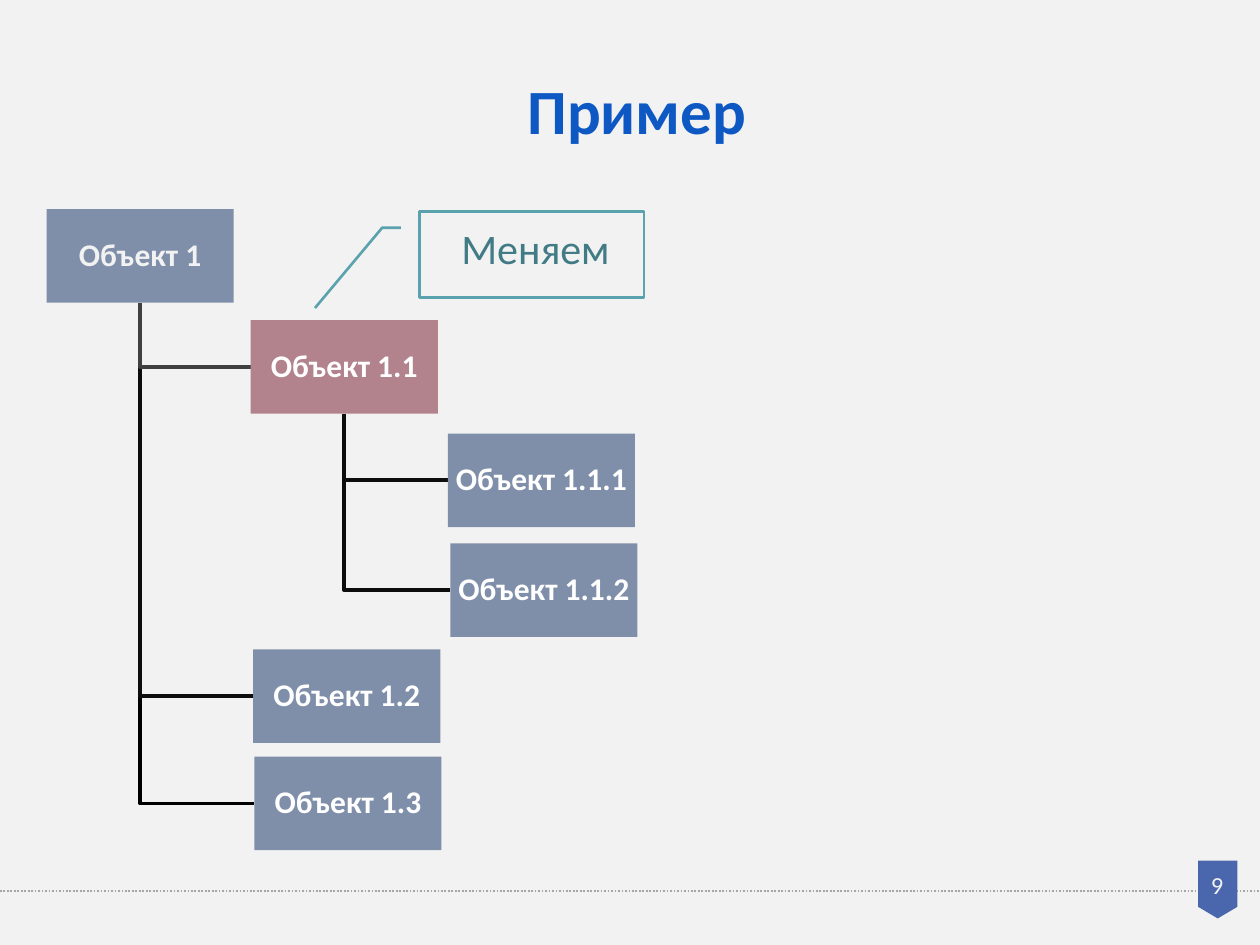
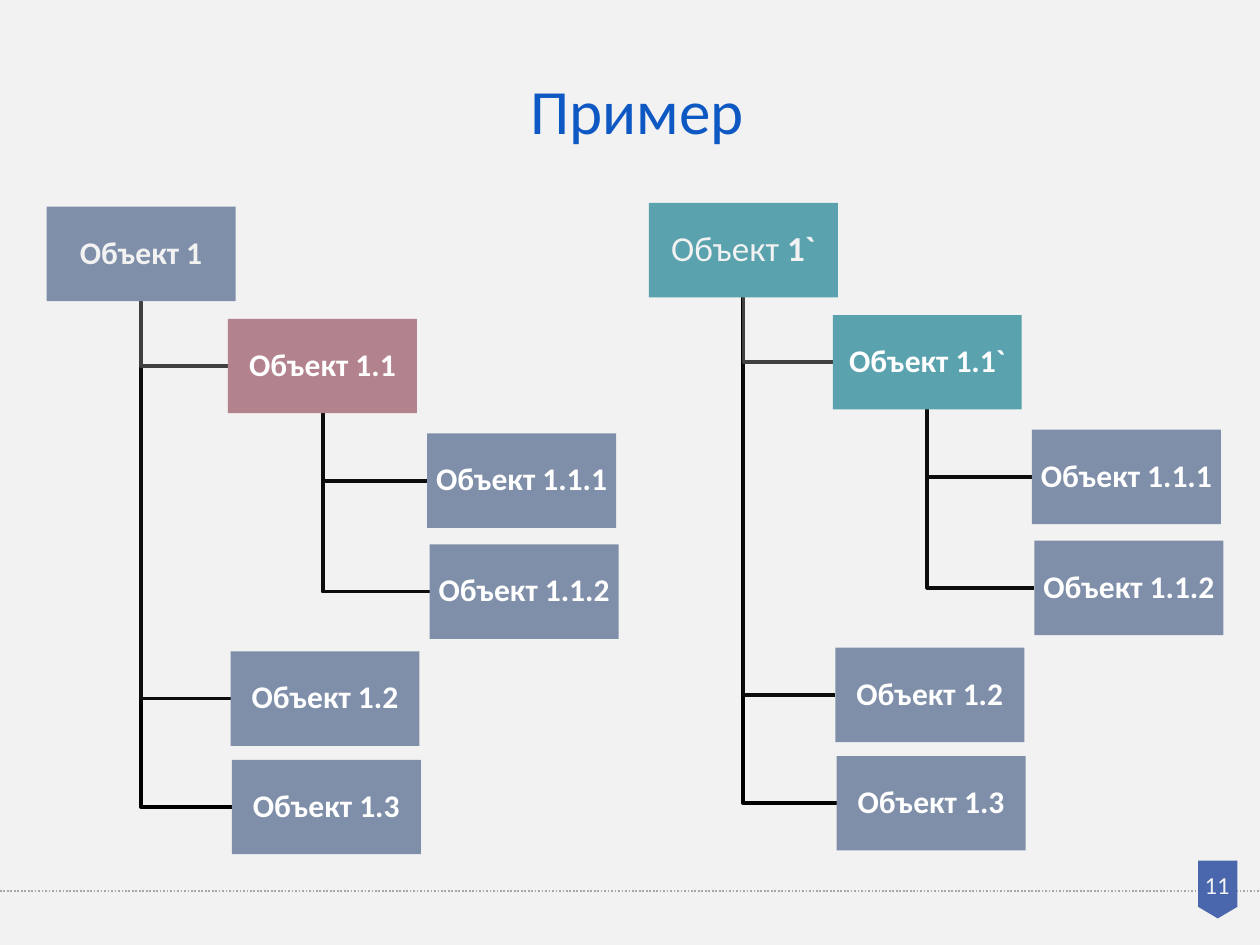
from dataclasses import dataclass, field

from lxml.etree import SubElement
from pptx import Presentation
from pptx.dml.color import RGBColor
from pptx.enum.dml import MSO_LINE
from pptx.enum.shapes import MSO_CONNECTOR, MSO_SHAPE
from pptx.enum.text import MSO_ANCHOR, PP_ALIGN
from pptx.oxml.ns import qn
from pptx.util import Inches, Pt

FONT = "Calibri"
PAPER = "F2F2F2"
WHITE = "FFFFFF"
TITLE_BLUE = "0E58C4"
BADGE_BLUE = "4A66AC"
DOTTED_GREY = "A6A6A6"
SLATE = "7F8FA9"
ROSE = "B2828D"
TEAL = "5AA2AE"
DARK_TEAL = "417B85"
NODE_WIDTH, NODE_HEIGHT = 1.5, 0.75


@dataclass(frozen=True)
class Node:
    label: str
    right: float
    down: float
    fill: str = SLATE
    color: str = WHITE


@dataclass(frozen=True)
class Link:
    parent: str
    child: str
    color: str = "0D0D0D"
    width: float = 2.25


@dataclass(frozen=True)
class NodeStyle:
    fill: str
    label: str
    bold_tail: str = ""
    size: float = 18
    bold: bool = True


@dataclass(frozen=True)
class Tree:
    left: float
    top: float
    branch: float
    scale: float = 1.0
    changed: dict[str, NodeStyle] = field(default_factory=dict)


NODES = {
    "1": Node("Объект 1", 0, 0, color=PAPER),
    "1.1": Node("Объект 1.1", 0, 0.89, ROSE),
    "1.1.1": Node("Объект 1.1.1", 1.58, 1.8),
    "1.1.2": Node("Объект 1.1.2", 1.6, 2.68),
    "1.2": Node("Объект 1.2", 0.02, 3.53),
    "1.3": Node("Объект 1.3", 0.03, 4.39),
}
LINKS = [
    Link("1", "1.3", "000000"),
    Link("1", "1.2", width=2),
    Link("1.1", "1.1.2"),
    Link("1.1", "1.1.1"),
    Link("1", "1.1", "404040", 2),
]
UPDATED = {
    "1": NodeStyle(TEAL, "Объект ", "1`", size=20, bold=False),
    "1.1": NodeStyle(TEAL, "Объект 1.1`"),
}


def rgb(color: str) -> RGBColor:
    return RGBColor.from_string(color)


def write_text(shape, text: str, *, size: float, color: str, bold: bool = False,
               bold_tail: str = "", line_spacing: float = 1.0,
               anchor=MSO_ANCHOR.TOP, inset: float | None = None) -> None:
    frame = shape.text_frame
    frame.word_wrap = True
    frame.vertical_anchor = anchor
    if inset is not None:
        frame.margin_left = frame.margin_right = Inches(inset)
        frame.margin_top = frame.margin_bottom = Inches(inset)
    paragraph = frame.paragraphs[0]
    paragraph.alignment = PP_ALIGN.CENTER
    paragraph.line_spacing = line_spacing
    for part, is_bold in ((text, bold), (bold_tail, True)):
        if part:
            run = paragraph.add_run()
            run.text = part
            run.font.name = FONT
            run.font.size = Pt(size)
            run.font.bold = is_bold
            run.font.color.rgb = rgb(color)


def add_label(slide, text: str, left: float, top: float, width: float,
              height: float, **text_format) -> None:
    label = slide.shapes.add_textbox(*map(Inches, (left, top, width, height)))
    write_text(label, text, **text_format)


def paint(shape, fill: str | None = None, line: str | None = None,
          line_width: float = 1) -> None:
    shape.shadow.inherit = False
    if fill:
        shape.fill.solid()
        shape.fill.fore_color.rgb = rgb(fill)
    else:
        shape.fill.background()
    if line:
        shape.line.color.rgb = rgb(line)
        shape.line.width = Pt(line_width)
    else:
        shape.line.fill.background()


def add_preset(shapes, preset, left: float, top: float, width: float,
               height: float, **look):
    shape = shapes.add_shape(preset, *map(Inches, (left, top, width, height)))
    paint(shape, **look)
    return shape


def add_page(deck, number: int, title_bold: bool):
    slide = deck.slides.add_slide(deck.slide_layouts[6])
    slide.background.fill.solid()
    slide.background.fill.fore_color.rgb = rgb(PAPER)
    rule = slide.shapes.add_connector(
        MSO_CONNECTOR.STRAIGHT, *map(Inches, (0, 7.07, 10, 7.07)))
    rule.line.color.rgb = rgb(DOTTED_GREY)
    rule.line.width = Pt(1)
    rule.line.dash_style = MSO_LINE.ROUND_DOT
    SubElement(rule._element.spPr, qn("a:effectLst"))
    add_preset(slide.shapes, MSO_SHAPE.FLOWCHART_OFFPAGE_CONNECTOR,
               9.51, 6.83, 0.31, 0.46, fill=BADGE_BLUE)
    add_label(slide, str(number), 9.44, 6.88, 0.44, 0.31,
              size=14, color=PAPER, line_spacing=0.9)
    add_label(slide, "Пример", 2.58, 0.22, 4.95, 0.92, size=36,
              color=TITLE_BLUE, bold=title_bold, line_spacing=1.5)
    return slide


def add_tree(slide, tree: Tree) -> None:
    group = slide.shapes.add_group_shape()
    width, height = NODE_WIDTH * tree.scale, NODE_HEIGHT * tree.scale

    def corner(key: str) -> tuple[float, float]:
        node = NODES[key]
        branch = 0 if key == "1" else tree.branch
        return (tree.left + branch + node.right * tree.scale,
                tree.top + node.down * tree.scale)

    for link in LINKS:
        parent_left, parent_top = corner(link.parent)
        child_left, child_top = corner(link.child)
        trunk = Inches(parent_left + width / 2)
        level = Inches(child_top + height / 2)
        builder = group.shapes.build_freeform(trunk, Inches(parent_top + height))
        builder.add_line_segments(
            [(trunk, level), (Inches(child_left), level)], close=False)
        paint(builder.convert_to_shape(), line=link.color, line_width=link.width)

    for key, node in NODES.items():
        style = tree.changed.get(key, NodeStyle(node.fill, node.label))
        box = add_preset(group.shapes, MSO_SHAPE.RECTANGLE, *corner(key),
                         width, height, fill=style.fill)
        write_text(box, style.label, bold_tail=style.bold_tail, size=style.size,
                   bold=style.bold, color=node.color, line_spacing=0.9,
                   anchor=MSO_ANCHOR.MIDDLE, inset=0.01)


def main() -> None:
    deck = Presentation()
    deck.slide_width, deck.slide_height = Inches(10), Inches(7.5)

    before = add_page(deck, 9, title_bold=True)
    add_tree(before, Tree(0.37, 1.66, 1.62, scale=0.99))
    add_preset(before.shapes, MSO_SHAPE.LINE_CALLOUT_2, 3.33, 1.68, 1.78, 0.68,
               line=TEAL, line_width=1.5)
    add_label(before, "Меняем", 3.45, 1.72, 1.6, 0.5, size=24, color=DARK_TEAL)

    after = add_page(deck, 11, title_bold=False)
    add_tree(after, Tree(0.37, 1.64, 1.44))
    add_tree(after, Tree(5.15, 1.61, 1.46, changed=UPDATED))

    deck.save("out.pptx")


if __name__ == "__main__":
    main()
